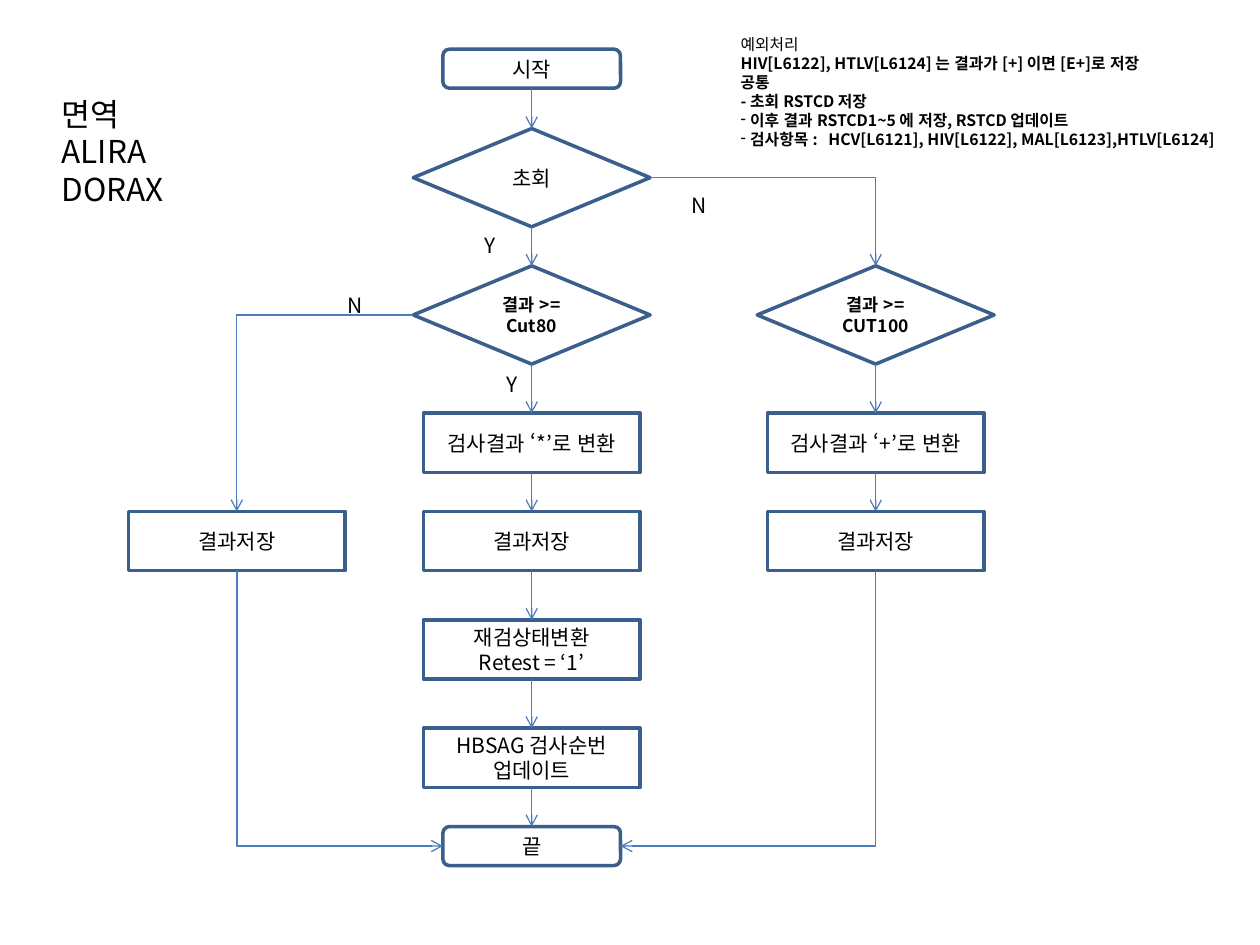
from lxml.etree import SubElement as Sub
from pptx import Presentation
from pptx.dml.color import RGBColor
from pptx.enum.lang import MSO_LANGUAGE_ID as Lang
from pptx.enum.shapes import MSO_CONNECTOR as Link, MSO_SHAPE as Kind
from pptx.enum.text import MSO_ANCHOR as Anchor, MSO_AUTO_SIZE as Fit, PP_ALIGN as Align
from pptx.oxml.ns import qn
from pptx.util import Inches, Pt

BLACK = RGBColor(0x00, 0x00, 0x00)
EDGE = RGBColor(0x3A, 0x5F, 0x8C)
WIRE = RGBColor(0x4B, 0x7E, 0xBC)
FONT = "Noto Sans CJK KR"
TOP, LEFT, BASE, RIGHT = range(4)


def write(frame, text, size=12, bold=False, align=Align.LEFT, anchor=Anchor.TOP,
          wrap=True, fit=Fit.NONE):
    """Fill a text frame, one paragraph per line of text."""
    frame.word_wrap = wrap
    frame.auto_size = fit
    frame.vertical_anchor = anchor
    for i, line in enumerate(text.split("\n")):
        para = frame.paragraphs[0] if i == 0 else frame.add_paragraph()
        para.alignment = align
        run = para.add_run()
        run.text = line
        font = run.font
        font.size, font.bold, font.name = Pt(size), bold, FONT
        font.language_id = Lang.KOREAN
        font.color.rgb = BLACK
        Sub(run._r.get_or_add_rPr(), qn("a:ea"), typeface=FONT)


class Chart:
    """Style of the flow chart and the slide it is drawn on."""

    sizes = {
        Kind.ROUNDED_RECTANGLE: (1.41, 0.31),
        Kind.FLOWCHART_DECISION: (1.88, 0.78),
        Kind.FLOWCHART_PROCESS: (1.72, 0.47),
    }

    def __init__(self, deck):
        self.slide = deck.slides.add_slide(deck.slide_layouts[5])
        self.shapes = self.slide.shapes

    def title(self, text, x, y, w, h):
        box = self.shapes.title
        box.left, box.top, box.width, box.height = map(Inches, (x, y, w, h))
        write(box.text_frame, text, size=18)

    def node(self, kind, mid, y, text, **style):
        w, h = self.sizes[kind]
        box = self.shapes.add_shape(
            kind, Inches(mid - w / 2), Inches(y), Inches(w), Inches(h))
        box.shadow.inherit = False
        box.fill.background()
        box.line.color.rgb = EDGE
        box.line.width = Pt(2)
        # Only the diamonds break their text by width
        write(box.text_frame, text, align=Align.CENTER, anchor=Anchor.MIDDLE,
              wrap=kind == Kind.FLOWCHART_DECISION, **style)
        return box

    def label(self, text, x, y, w=0.33, h=0.3, wrap=False, **style):
        box = self.shapes.add_textbox(Inches(x), Inches(y), Inches(w), Inches(h))
        write(box.text_frame, text, wrap=wrap, fit=Fit.SHAPE_TO_FIT_TEXT, **style)
        return box

    def arrow(self, a, b, out=BASE, into=TOP):
        down = (out, into) == (BASE, TOP)
        wire = self.shapes.add_connector(Link.STRAIGHT if down else Link.ELBOW, 0, 0, 0, 0)
        wire.begin_connect(a, out)
        wire.end_connect(b, into)
        wire.line.color.rgb = WIRE
        wire.line.width = Pt(0.75)
        prop = wire._element.spPr
        Sub(prop.find(qn("a:ln")), qn("a:tailEnd"), type="arrow")
        Sub(prop, qn("a:effectLst"))
        if not down:
            prop.find(qn("a:prstGeom")).set("prst", "bentConnector2")
            if out == BASE:
                self.turn(wire)

    def turn(self, wire):
        """Rotate an elbow so that it runs down first, then sideways."""
        w, h = wire.width, wire.height
        left = wire.end_x < wire.begin_x
        wire.left += (w - h) // 2
        wire.top += (h - w) // 2
        wire.width, wire.height = h, w
        form = wire._element.spPr.find(qn("a:xfrm"))
        form.set("rot", str((90 if left else 270) * 60000))
        form.set("flipH", "0" if left else "1")


deck = Presentation()
deck.slide_width, deck.slide_height = Inches(10), Inches(7.5)
chart = Chart(deck)
chart.title("면역\nALIRA\nDORAX", 0.39, 0.7, 1.4, 1.01)

# Columns and shared rows
SIDE, MAIN, NEXT = 1.88, 4.22, 6.95
TEST, MARK, SAVE = 2.11, 3.28, 4.06
PILL, ASK, STEP = Kind.ROUNDED_RECTANGLE, Kind.FLOWCHART_DECISION, Kind.FLOWCHART_PROCESS

# Nodes
start = chart.node(PILL, MAIN, 0.39, "시작")
first = chart.node(ASK, MAIN, 1.02, "초회")
low = chart.node(ASK, MAIN, TEST, "결과 >= Cut80", size=10, bold=True)
high = chart.node(ASK, NEXT, TEST, "결과 >= CUT100", size=10, bold=True)
star = chart.node(STEP, MAIN, MARK, "검사결과 ‘*’로 변환")
plus = chart.node(STEP, NEXT, MARK, "검사결과 ‘+’로 변환")
keep, save, store = [chart.node(STEP, mid, SAVE, "결과저장") for mid in (SIDE, MAIN, NEXT)]
again = chart.node(STEP, MAIN, 4.92, "재검상태변환\nRetest = ‘1’")
order = chart.node(STEP, MAIN, 5.78, "HBSAG 검사순번\n업데이트")
end = chart.node(PILL, MAIN, 6.56, "끝")

# Straight arrows down each column
for line in ((start, first, low, star, save, again, order, end), (high, plus, store)):
    for a, b in zip(line, line[1:]):
        chart.arrow(a, b)

# Branches and returns
chart.arrow(first, high, out=RIGHT)
chart.arrow(low, keep, out=LEFT)
chart.arrow(keep, end, into=LEFT)
chart.arrow(store, end, into=RIGHT)

# Branch labels
for text, x, y in (("N", 5.39, 1.48), ("Y", 3.75, 1.8), ("N", 2.66, 2.27), ("Y", 3.92, 2.9)):
    chart.label(text, x, y)

# Notes on exceptions
notes = chart.label(
    "예외처리\n"
    "HIV[L6122], HTLV[L6124] 는 결과가 [+] 이면 [E+]로 저장\n"
    "공통\n"
    "- 초회 RSTCD 저장\n"
    " 이후 결과 RSTCD1~5 에 저장, RSTCD 업데이트\n"
    " 검사항목 :   HCV[L6121], HIV[L6122], MAL[L6123],HTLV[L6124]",
    5.78, 0.23, 4.06, 1.01, wrap=True, size=9, bold=True)
paras = notes.text_frame.paragraphs
paras[0].runs[0].font.bold = False
for para in paras[-2:]:
    Sub(para._p.get_or_add_pPr(), qn("a:buChar"), char="-")

deck.save("out.pptx")
